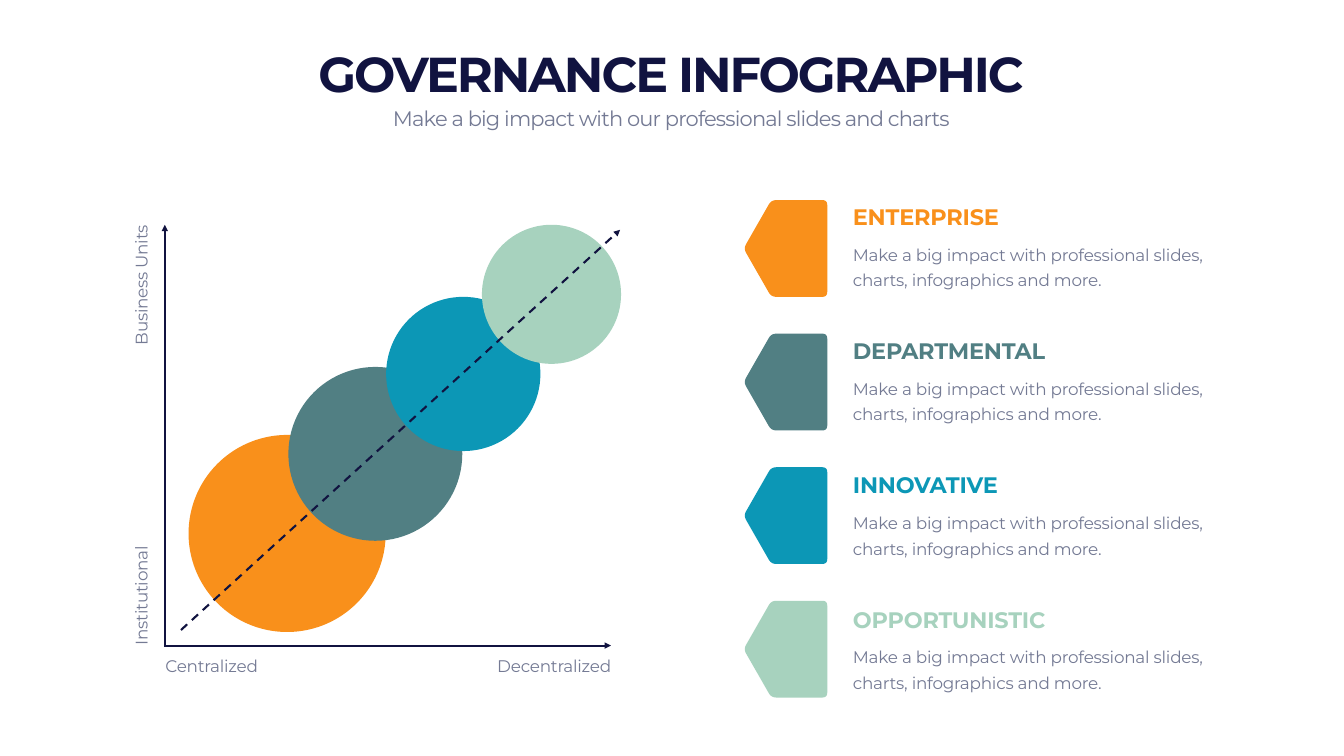
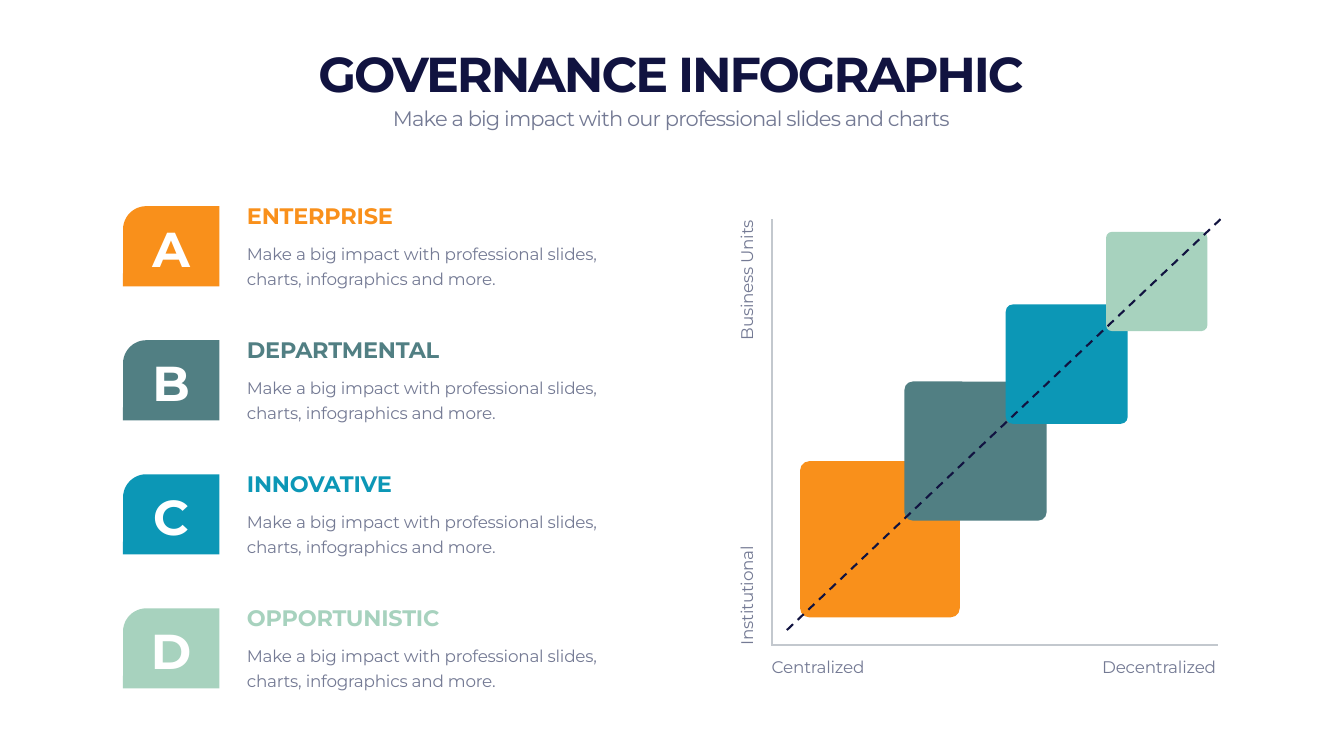
from dataclasses import dataclass
from typing import Optional

from lxml import etree
from pptx import Presentation
from pptx import util as u
from pptx.dml.color import RGBColor
from pptx.enum import dml, shapes, text
from pptx.oxml.ns import qn

FONT = "Montserrat"
COLORS = {
    "orange": "F9901B", "slate": "517F83", "blue": "0C97B6", "mint": "A7D2BE",
    "navy": "111340", "gray": "747A94", "axis": "C3C8CE", "white": "FFFFFF",
}
ROW_PITCH = 2.66
BLURB = "Make a big impact with professional slides, charts, infographics and more."
LEFT, CENTER, RIGHT = text.PP_ALIGN.LEFT, text.PP_ALIGN.CENTER, text.PP_ALIGN.RIGHT
TOP, MIDDLE, BOTTOM = text.MSO_ANCHOR.TOP, text.MSO_ANCHOR.MIDDLE, text.MSO_ANCHOR.BOTTOM


@dataclass(frozen=True)
class Style:
    """Look of one kind of text."""
    size: int
    color: str = "gray"
    bold: bool = False
    tracking: float = -0.3
    align: text.PP_ALIGN = LEFT
    anchor: text.MSO_ANCHOR = TOP
    leading: Optional[int] = None


@dataclass(frozen=True)
class Level:
    """One governance level with its marker colour and letter."""
    name: str
    color: str
    letter: str


@dataclass(frozen=True)
class Box:
    """Place and size of a shape, in inches."""
    x: float
    y: float
    w: float
    h: float


LEVELS = [
    Level("ENTERPRISE", "orange", "A"),
    Level("DEPARTMENTAL", "slate", "B"),
    Level("INNOVATIVE", "blue", "C"),
    Level("OPPORTUNISTIC", "mint", "D"),
]
CIRCLES = [Box(3.74, 8.63, 3.91, 3.91), Box(5.72, 7.28, 3.45, 3.45),
           Box(7.66, 5.89, 3.06, 3.06), Box(9.56, 4.46, 2.76, 2.76)]
SQUARES = [Box(15.87, 9.15, 3.17, 3.1), Box(17.94, 7.57, 2.82, 2.76),
           Box(19.95, 6.04, 2.42, 2.37), Box(21.94, 4.6, 2.01, 1.97)]
PENTAGON = [(0.54, 0), (1.65, 0), (1.65, 1.92), (0.54, 1.92), (-0.01, 0.96)]

TITLE = Style(70, "navy", True, -2.9, CENTER, BOTTOM, 94)
SUBTITLE = Style(30, tracking=-1.2, align=CENTER)
BODY = Style(24, leading=36)
LETTER = Style(70, "white", True, -2.9, CENTER, MIDDLE, 94)


def rgb(name: str) -> RGBColor:
    """Return a palette colour."""
    return RGBColor.from_string(COLORS[name])


def place(sp, box: Box) -> None:
    """Move and size a shape."""
    sp.left, sp.top = u.Inches(box.x), u.Inches(box.y)
    sp.width, sp.height = u.Inches(box.w), u.Inches(box.h)


def write(sp, words: str, style: Style) -> None:
    """Fill a shape with one styled paragraph."""
    tf = sp.text_frame
    tf.text = words
    tf.word_wrap = True
    tf.auto_size = text.MSO_AUTO_SIZE.SHAPE_TO_FIT_TEXT
    tf.vertical_anchor = style.anchor
    p = tf.paragraphs[0]
    p.alignment = style.align
    if style.leading:
        p.line_spacing = u.Pt(style.leading)
    r = p.runs[0]
    r.font.name, r.font.size, r.font.bold = FONT, u.Pt(style.size), style.bold
    r.font.color.rgb = rgb(style.color)
    r.font._element.set("spc", str(round(style.tracking * 100)))


def add_text(s, words: str, box: Box, style: Style, rotation: int = 0) -> None:
    """Add a text box."""
    sp = s.shapes.add_textbox(0, 0, 0, 0)
    write(sp, words, style)
    place(sp, box)
    sp.rotation = rotation


def paint(sp, color: str) -> None:
    """Give a shape a plain fill with no line or shadow."""
    sp.shadow.inherit = False
    sp.fill.solid()
    sp.fill.fore_color.rgb = rgb(color)
    sp.line.fill.background()


def add_preset(s, kind: shapes.MSO_SHAPE, box: Box, color: str,
               corner: Optional[float] = None):
    """Add a filled preset shape."""
    sp = s.shapes.add_shape(kind, 0, 0, 0, 0)
    place(sp, box)
    paint(sp, color)
    if corner is not None:
        sp.adjustments[0] = corner
    return sp


def rounded(points: list, cut: float = 0.1, steps: int = 6) -> list:
    """Round the corners of a polygon with short quadratic curves."""
    def toward(a: tuple, b: tuple) -> tuple:
        length = ((b[0] - a[0]) ** 2 + (b[1] - a[1]) ** 2) ** 0.5
        return tuple(m + (n - m) * cut / length for m, n in zip(a, b))

    outline = []
    for i, corner in enumerate(points):
        start = toward(corner, points[i - 1])
        end = toward(corner, points[(i + 1) % len(points)])
        for k in range(steps + 1):
            t = k / steps
            outline.append(tuple((1 - t) ** 2 * a + 2 * t * (1 - t) * c + t * t * b
                                 for a, c, b in zip(start, corner, end)))
    return outline


def add_pentagon(s, x: float, y: float, color: str) -> None:
    """Add a left-pointing marker with rounded corners."""
    points = [(u.Inches(x + px), u.Inches(y + py)) for px, py in rounded(PENTAGON)]
    builder = s.shapes.build_freeform(*points[0])
    builder.add_line_segments(points[1:], close=True)
    paint(builder.convert_to_shape(), color)


def add_line(s, start: tuple, end: tuple, color: str = "navy",
             dashed: bool = False, arrow: bool = False) -> None:
    """Add a straight line, with an arrowhead at its end if wanted."""
    sp = s.shapes.add_connector(shapes.MSO_CONNECTOR.STRAIGHT,
                                *(u.Inches(v) for v in (*start, *end)))
    sp.line.color.rgb = rgb(color)
    sp.line.width = u.Pt(3)
    if dashed:
        sp.line.dash_style = dml.MSO_LINE.DASH
    if arrow:
        etree.SubElement(sp.line._get_or_add_ln(), qn("a:tailEnd"), type="triangle")
    etree.SubElement(sp._element.spPr, qn("a:effectLst"))


def add_heading(s) -> None:
    """Set the title and the line below it."""
    write(s.shapes.title, "GOVERNANCE INFOGRAPHIC", TITLE)
    place(s.shapes.title, Box(1.65, 0.71, 23.33, 1.38))
    add_text(s, "Make a big impact with our professional slides and charts",
             Box(1.65, 2.05, 23.33, 0.61), SUBTITLE)


def add_list(s, x: float, y: float, w: float) -> None:
    """Add the four level names with their descriptions."""
    for i, level in enumerate(LEVELS):
        top = y + i * ROW_PITCH
        add_text(s, level.name, Box(x, top, w, 0.64),
                 Style(32, level.color, True, anchor=BOTTOM))
        add_text(s, BLURB, Box(x, top + 0.73, w, 1.07), BODY)


def add_axis_labels(s, side_x: float, upper_y: float, left_x: float,
                    right_x: float, y: float) -> None:
    """Label both ends of the two axes."""
    labels = [
        ("Business Units", side_x, upper_y, RIGHT, BOTTOM, 270),
        ("Institutional", side_x, 11.18, LEFT, BOTTOM, 270),
        ("Centralized", left_x, y, LEFT, TOP, 0),
        ("Decentralized", right_x, y, RIGHT, TOP, 0),
    ]
    for words, x, top, align, anchor, rotation in labels:
        add_text(s, words, Box(x, top, 2.95, 0.5),
                 Style(24, align=align, anchor=anchor), rotation)


def build_circles(s) -> None:
    """Circles along a rising arrow, list on the right."""
    add_heading(s)
    for level, box in zip(LEVELS, CIRCLES):
        add_preset(s, shapes.MSO_SHAPE.OVAL, box, level.color)
    for i, level in enumerate(LEVELS):
        add_pentagon(s, 14.76, 3.97 + i * 2.65, level.color)
    add_line(s, (3.59, 12.5), (12.3, 4.56), dashed=True, arrow=True)
    add_line(s, (3.25, 12.81), (12.12, 12.81), arrow=True)
    add_line(s, (3.27, 12.81), (3.27, 4.46), arrow=True)
    add_list(s, 16.82, 3.98, 7.51)
    add_axis_labels(s, 1.32, 5.59, 3.18, 9.27, 12.96)


def build_squares(s) -> None:
    """Lettered list on the left, squares along a rising line."""
    add_heading(s)
    add_line(s, (15.3, 12.8), (24.16, 12.8), "axis")
    add_line(s, (15.32, 12.81), (15.32, 4.35), "axis")
    add_axis_labels(s, 13.33, 5.49, 15.21, 21.27, 12.99)
    for i, level in enumerate(LEVELS):
        offset = i * ROW_PITCH
        tab = add_preset(s, shapes.MSO_SHAPE.ROUND_1_RECTANGLE,
                         Box(2.44, 4.09 + offset, 1.91, 1.59), level.color, 0.29)
        tab._element.spPr.xfrm.set("flipH", "1")
        add_text(s, level.letter, Box(2.59, 4.15 + offset, 1.61, 1.38), LETTER)
    for level, box in zip(LEVELS, SQUARES):
        add_preset(s, shapes.MSO_SHAPE.ROUNDED_RECTANGLE, box, level.color, 0.06)
    add_list(s, 4.8, 3.95, 7.6)
    add_line(s, (15.61, 12.5), (24.21, 4.35), dashed=True)


prs = Presentation()
prs.slide_width, prs.slide_height = u.Inches(26.66), u.Inches(15)
for build in (build_circles, build_squares):
    build(prs.slides.add_slide(prs.slide_layouts[5]))
prs.save("out.pptx")
